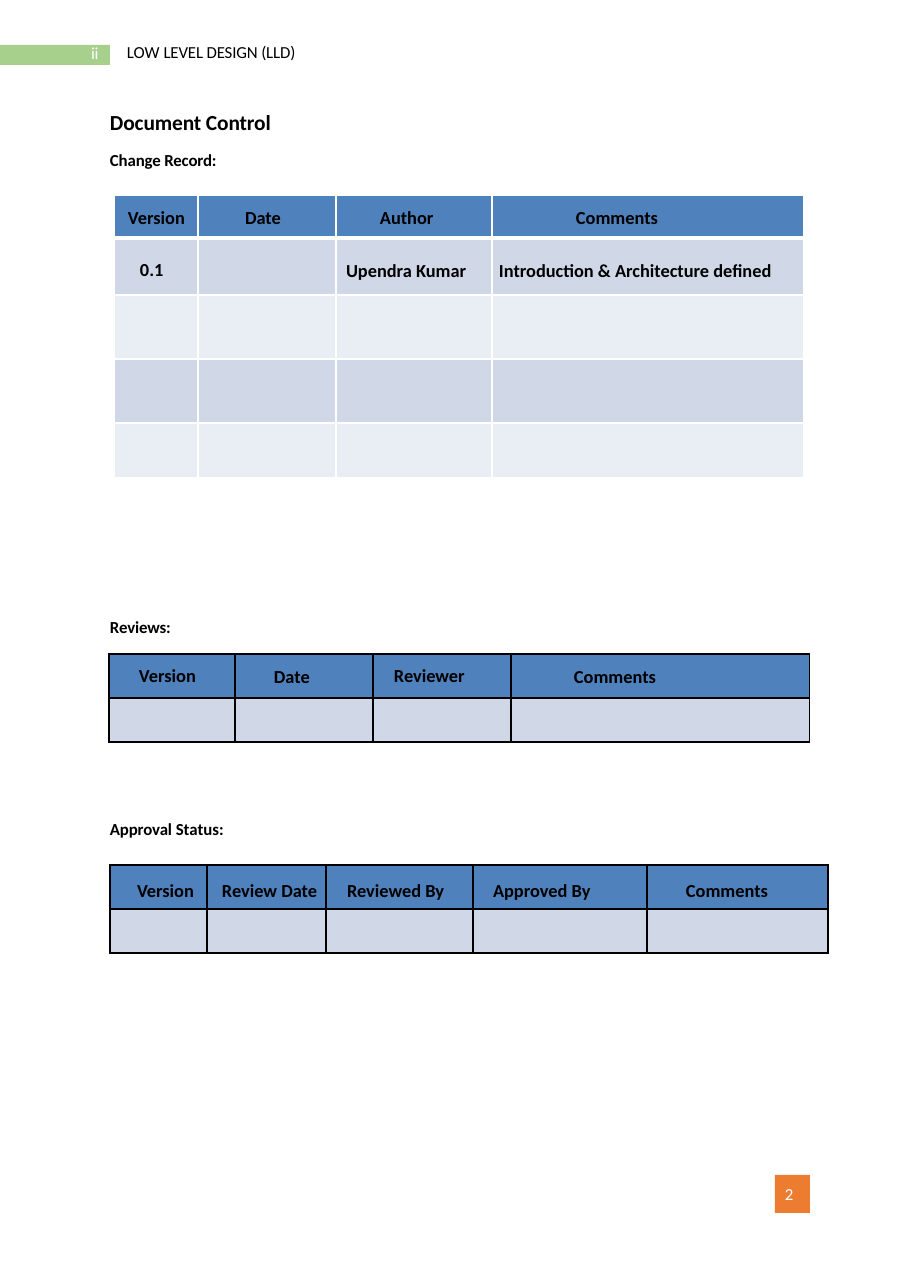
from lxml import etree
from pptx import Presentation
from pptx.dml.color import RGBColor
from pptx.enum import shapes, text
from pptx.oxml.ns import qn
from pptx.util import Pt

PX = 8298
FONT = "Calibri"
BLACK = RGBColor(0x00, 0x00, 0x00)
WHITE = RGBColor(0xFF, 0xFF, 0xFF)
ORANGE = RGBColor(0xEC, 0x7C, 0x30)
GREEN = RGBColor(0xA8, 0xD0, 0x8D)
BLUE = RGBColor(0x4F, 0x81, 0xBD)
BAND = RGBColor(0xD0, 0xD8, 0xE8)
PALE = RGBColor(0xE9, 0xED, 0xF4)
TIGHT = -10  # letter spacing, in hundredths of a point


def scale(*sizes):
    return [size * PX for size in sizes]


def block(slide, box, color):
    """Draw a plain filled rectangle."""
    shape = slide.shapes.add_shape(shapes.MSO_SHAPE.RECTANGLE, *scale(*box))
    shape.shadow.inherit = False
    shape.fill.solid()
    shape.fill.fore_color.rgb = color
    shape.line.fill.background()


def inset(frame, left, top, right, bottom):
    frame.word_wrap = True
    frame.auto_size = text.MSO_AUTO_SIZE.NONE
    frame.vertical_anchor = text.MSO_ANCHOR.TOP
    frame.margin_left, frame.margin_top = scale(left, top)
    frame.margin_right, frame.margin_bottom = scale(right, bottom)


def write(para, words, size, color=BLACK, bold=False, space=0):
    run = para.add_run()
    run.text = words
    font = run.font
    font.name, font.size, font.bold = FONT, Pt(size), bold
    font.color.rgb = color
    if space:
        run._r.get_or_add_rPr().set("spc", str(space))


def line(slide, box, runs, color=BLACK, bold=False, left=1):
    """Add one line of small text; runs are (words, spacing) pairs."""
    frame = slide.shapes.add_textbox(*scale(*box)).text_frame
    inset(frame, left, 1, 0, 0)
    para = frame.paragraphs[0]
    para.space_before = Pt(1)
    for words, space in runs:
        write(para, words, 11, color, bold, space)
    return para


def heading(slide):
    title = slide.shapes.title
    title.left, title.top, title.width, title.height = scale(109, 108, 166, 64)
    frame = title.text_frame
    inset(frame, 1, 1, 0, 0)
    parts = [("Document Control", 14, 1), ("Change Record:", 11, 9.8)]
    for i, (words, size, before) in enumerate(parts):
        para = frame.add_paragraph() if i else frame.paragraphs[0]
        para.alignment = text.PP_ALIGN.LEFT
        para.line_spacing = 1.0
        para.space_before = Pt(before)
        write(para, words, size, bold=True, space=TIGHT)


def label(slide, words, x, y, width):
    """Place bold table text over the grid."""
    frame = slide.shapes.add_textbox(*scale(x, y, width, 33)).text_frame
    inset(frame, 11, 5, 11, 5)
    write(frame.paragraphs[0], words, 12, bold=True)


def border(cell, side, color, width):
    edge = etree.SubElement(cell._tc.get_or_add_tcPr(), qn("a:ln" + side),
                            w=str(Pt(width)))
    fill = etree.SubElement(edge, qn("a:solidFill"))
    etree.SubElement(fill, qn("a:srgbClr"), val=str(color))


def grid(slide, x, y, cols, rows, color, rule=1):
    """Add a banded table; rule is the line width under the header."""
    size = scale(x, y, sum(cols), sum(rows))
    table = slide.shapes.add_table(len(rows), len(cols), *size).table
    for col, width in zip(table.columns, cols):
        col.width = width * PX
    for r, height in enumerate(rows):
        table.rows[r].height = height * PX
        for cell in table.rows[r].cells:
            cell.margin_top = cell.margin_bottom = 0
            for side in "LRTB":
                head = (r, side) in ((0, "B"), (1, "T"))
                border(cell, side, color, rule if head else 1)
            cell.fill.solid()
            cell.fill.fore_color.rgb = (BAND if r % 2 else PALE) if r else BLUE


def changes(slide):
    grid(slide, 114, 195, [84, 138, 156, 312], [43, 57, 64, 64, 55], WHITE, 3)
    for words, x, y, width in [
            ("Version", 117, 201, 82), ("Date", 234, 201, 66),
            ("Author", 369, 201, 110), ("Comments", 565, 201, 138),
            ("0.1", 129, 253, 49), ("Upendra Kumar", 335, 254, 178),
            ("Introduction & Architecture defined", 488, 254, 322)]:
        label(slide, words, x, y, width)


def reviews(slide):
    line(slide, (109, 616, 68, 23), [("Reviews:", TIGHT)], bold=True)
    grid(slide, 109, 654, [126, 138, 138, 299], [44, 44], BLACK)
    for words, x, y, width in [
            ("Version", 128, 659, 84), ("Date", 263, 660, 91),
            ("Reviewer", 383, 659, 110), ("Comments", 563, 660, 193)]:
        label(slide, words, x, y, width)


def status(slide):
    line(slide, (109, 818, 122, 23), [("Approval ", TIGHT), ("Status:", 0)],
         bold=True)
    grid(slide, 110, 865, [97, 119, 147, 174, 181], [44, 44], BLACK)
    for words, x, width in [
            ("Version", 126, 127), ("Review Date", 211, 120),
            ("Reviewed By", 336, 130), ("Approved By", 482, 161),
            ("Comments", 675, 107)]:
        label(slide, words, x, 874, width)


def main():
    deck = Presentation()
    deck.slide_width, deck.slide_height = scale(910, 1288)
    slide = deck.slides.add_slide(deck.slide_layouts[5])
    block(slide, (775, 1175, 35, 38), ORANGE)
    block(slide, (0, 45, 110, 20), GREEN)
    line(slide, (90, 42, 14, 23), [("ii", TIGHT)], WHITE)
    line(slide, (126, 41, 180, 23),
         [("LOW ", 0), ("LEVEL DESIGN (LLD)", TIGHT)])
    heading(slide)
    page = line(slide, (781, 1185, 22, 20), [("2", 0)], WHITE, left=4)
    page.line_spacing = Pt(11.5)
    changes(slide)
    reviews(slide)
    status(slide)
    deck.save("out.pptx")


if __name__ == "__main__":
    main()
